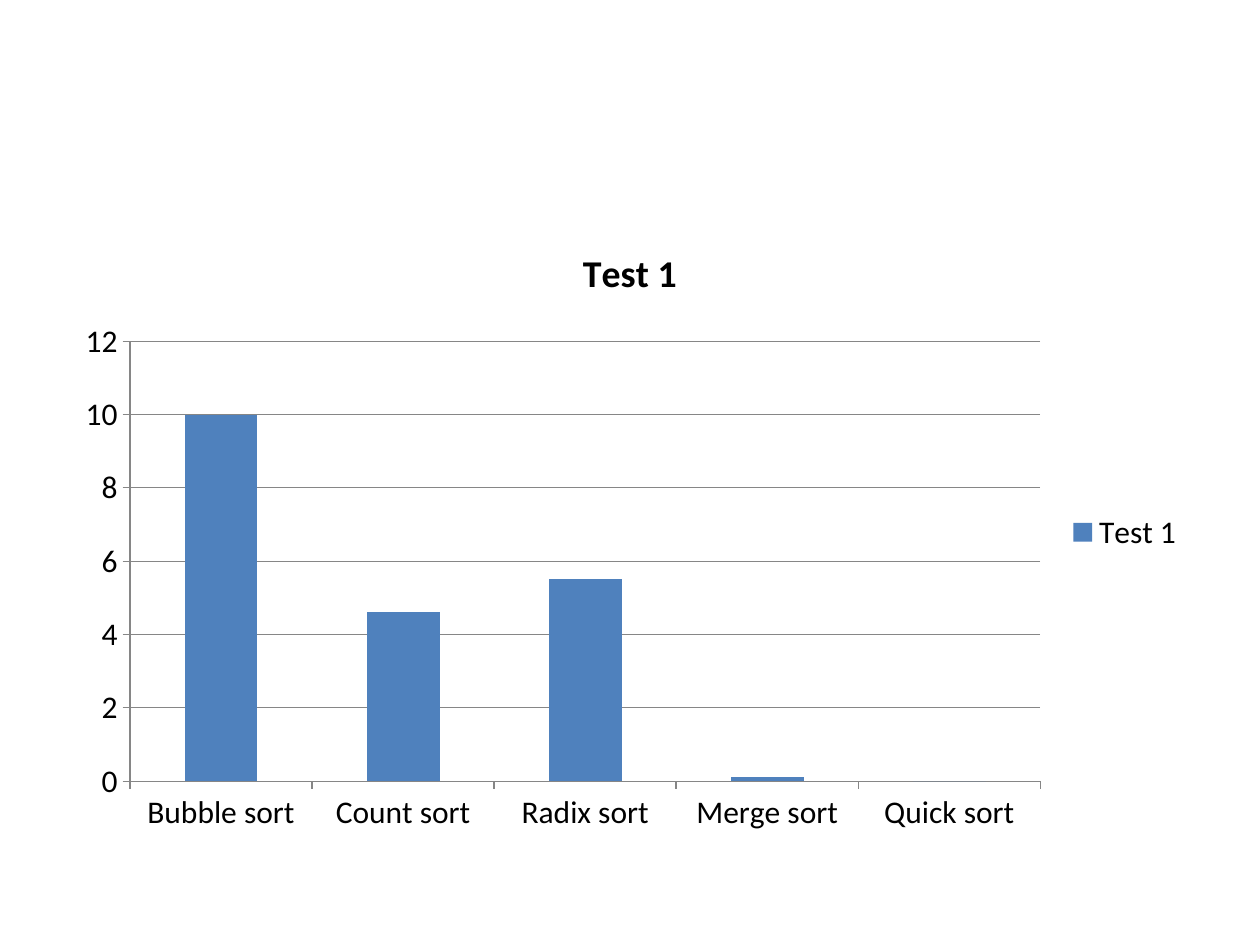
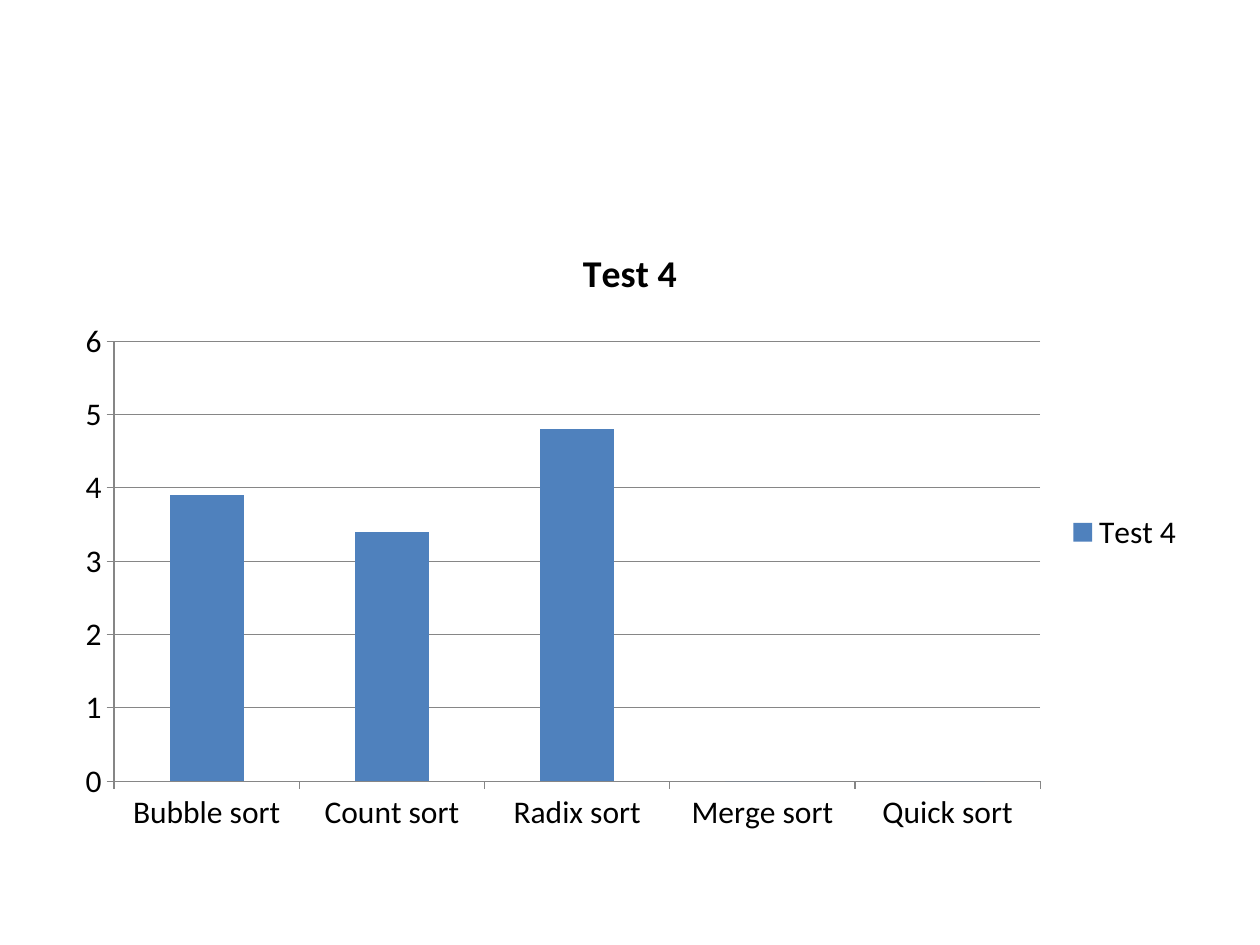
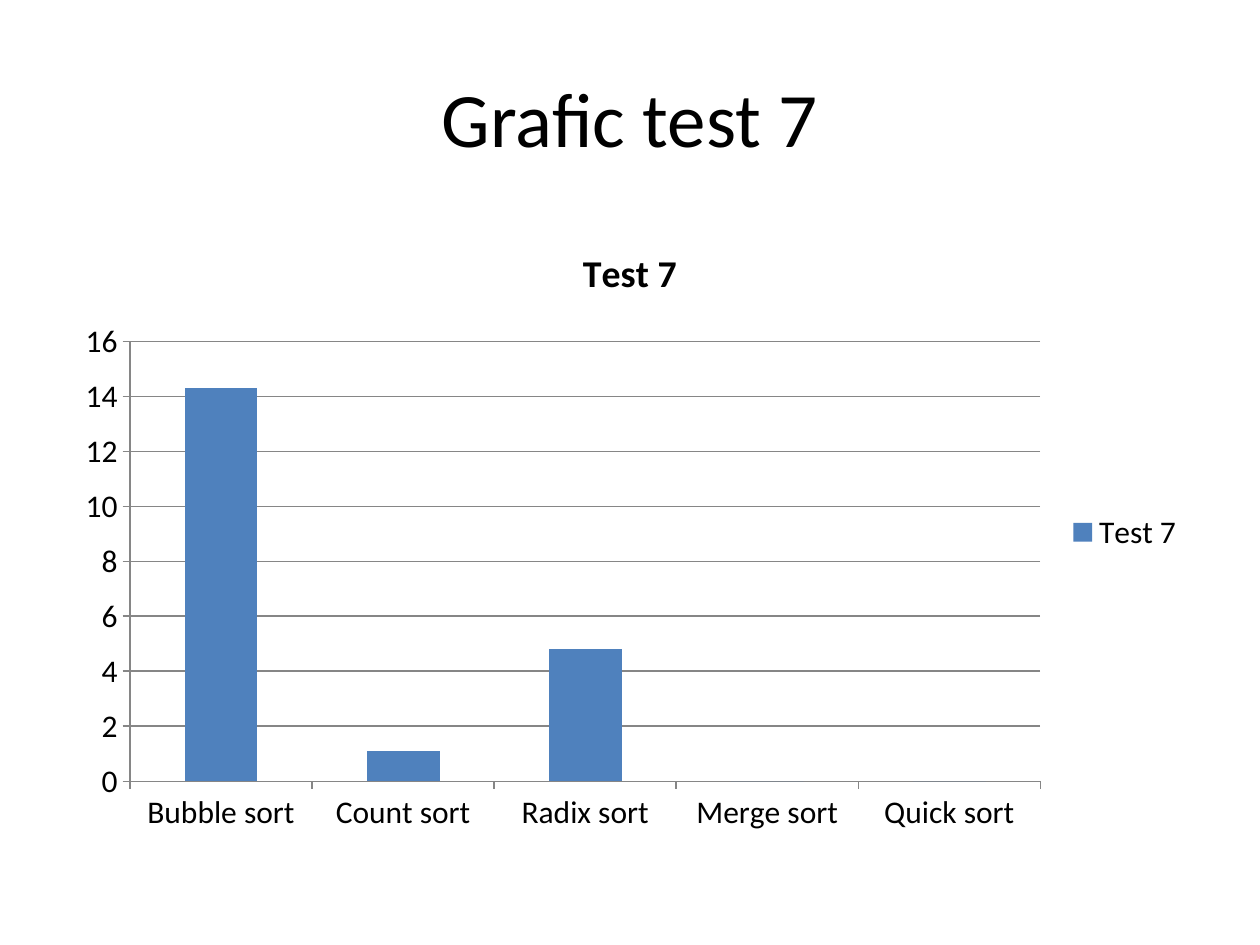
from pptx import Presentation
from pptx.chart.data import CategoryChartData
from pptx.dml.color import RGBColor
from pptx.enum.chart import XL_CHART_TYPE, XL_LEGEND_POSITION, XL_TICK_MARK
from pptx.enum.text import MSO_ANCHOR, PP_ALIGN
from pptx.util import Inches, Pt

COLORS = {"text": "000000", "bar": "4F81BD", "line": "868686", "background": "FFFFFF"}
FONT = "Calibri"
SORTS = ["Bubble sort", "Count sort", "Radix sort", "Merge sort", "Quick sort"]
TESTS = [
    {"name": "Test 1", "values": [10, 4.6, 5.5, 0.1, 0], "top": 12, "step": 2, "title": None},
    {"name": "Test 4", "values": [3.9, 3.4, 4.8, 0, 0], "top": 6, "step": 1, "title": None},
    {"name": "Test 7", "values": [14.3, 1.1, 4.8, 0, 0], "top": 16, "step": 2,
     "title": "Grafic test 7"},
]


def write(tf, text, size=18, bold=False, align=PP_ALIGN.CENTER):
    p = tf.paragraphs[0]
    p.alignment = align
    r = p.add_run()
    r.text = text
    r.font.name = FONT
    r.font.size = Pt(size)
    r.font.bold = bold
    r.font.color.rgb = RGBColor.from_string(COLORS["text"])


prs = Presentation()
prs.slide_width = Inches(10)
prs.slide_height = Inches(7.5)
blank = prs.slide_layouts[6]

for test in TESTS:
    s = prs.slides.add_slide(blank)
    s.background.fill.solid()
    s.background.fill.fore_color.rgb = RGBColor.from_string(COLORS["background"])

    if test["title"]:
        sp = s.shapes.add_textbox(Inches(0.5), Inches(0.3), Inches(9), Inches(1.25))
        tf = sp.text_frame
        tf.word_wrap = True
        tf.vertical_anchor = MSO_ANCHOR.MIDDLE
        write(tf, test["title"], size=44)

    data = CategoryChartData()
    data.categories = SORTS
    data.add_series(test["name"], test["values"])
    chart = s.shapes.add_chart(XL_CHART_TYPE.COLUMN_CLUSTERED, Inches(0.5), Inches(1.75),
                               Inches(9), Inches(4.95), data).chart
    chart.font.name = FONT
    chart.font.size = Pt(18)
    chart.font.color.rgb = RGBColor.from_string(COLORS["text"])
    chart.has_title = True
    write(chart.chart_title.text_frame, test["name"], size=21.6, bold=True)
    chart.chart_title.include_in_layout = False
    chart.has_legend = True
    chart.legend.position = XL_LEGEND_POSITION.RIGHT
    chart.legend.include_in_layout = False

    plot = chart.plots[0]
    plot.gap_width = 150
    plot.vary_by_categories = False
    fill = plot.series[0].format.fill
    fill.solid()
    fill.fore_color.rgb = RGBColor.from_string(COLORS["bar"])

    value_axis = chart.value_axis
    value_axis.minimum_scale = 0
    value_axis.maximum_scale = test["top"]
    value_axis.major_unit = test["step"]
    value_axis.has_major_gridlines = True
    for axis in (chart.category_axis, value_axis):
        axis.major_tick_mark = XL_TICK_MARK.OUTSIDE
        axis.minor_tick_mark = XL_TICK_MARK.NONE
    for part in (chart.category_axis, value_axis, value_axis.major_gridlines):
        part.format.line.width = Pt(0.75)
        part.format.line.color.rgb = RGBColor.from_string(COLORS["line"])

prs.save("out.pptx")
